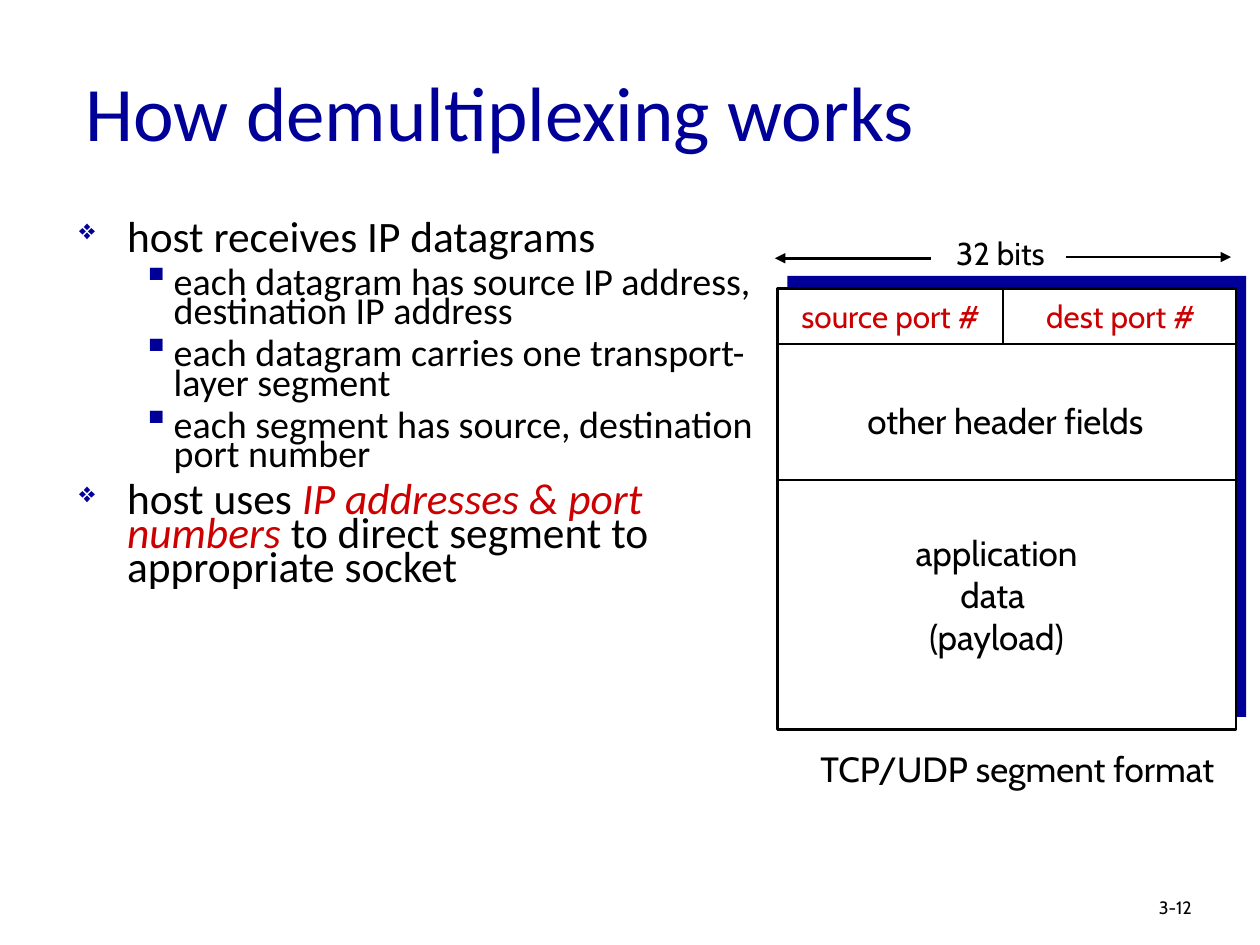
"""Build the slide that explains how demultiplexing works."""
from dataclasses import dataclass
from typing import Any

import lxml.etree
import pptx
import pptx.dml.color
import pptx.enum.shapes
import pptx.enum.text
import pptx.oxml.ns
import pptx.util

Inches = pptx.util.Inches
Pt = pptx.util.Pt
RGBColor = pptx.dml.color.RGBColor
Align = pptx.enum.text.PP_ALIGN
Anchor = pptx.enum.text.MSO_ANCHOR
qn = pptx.oxml.ns.qn

NAVY = RGBColor(0x00, 0x00, 0x99)
RED = RGBColor(0xCC, 0x00, 0x00)
BLACK = RGBColor(0x00, 0x00, 0x00)
WHITE = RGBColor(0xFF, 0xFF, 0xFF)

SEGMENT_LEFT, SEGMENT_TOP = 6.17, 2.29
SEGMENT_WIDTH, SEGMENT_HEIGHT = 3.64, 3.5
SEGMENT_RIGHT = SEGMENT_LEFT + SEGMENT_WIDTH
PORTS_BOTTOM, HEADER_BOTTOM, PORT_DIVIDER = 2.73, 3.81, 7.96


@dataclass(frozen=True)
class Label:
    lines: tuple[str, ...]
    left: float
    top: float
    width: float
    height: float
    size: float = 20
    color: RGBColor = BLACK
    font: str = "Cabin"
    align: Align = Align.CENTER
    anchor: Anchor = Anchor.TOP
    wrap: bool = False


@dataclass(frozen=True)
class Line:
    start: tuple[float, float]
    end: tuple[float, float]
    arrow: bool = False


@dataclass(frozen=True)
class BulletStyle:
    level: int
    character: str
    scale: int
    margin: float
    indent: float
    size: float
    space_before: float


@dataclass(frozen=True)
class Bullet:
    style: BulletStyle
    runs: tuple[tuple[str, bool], ...]


MAIN = BulletStyle(0, "❖", 65, 0.38, -0.38, 24.8, 8)
DETAIL = BulletStyle(1, "▪", 100, 0.75, -0.25, 21.7, 7)

BULLETS = (
    Bullet(MAIN, (("host receives IP datagrams", False),)),
    Bullet(DETAIL, (("each datagram has source IP address, destination IP address", False),)),
    Bullet(DETAIL, (("each datagram carries one transport-layer segment", False),)),
    Bullet(DETAIL, (("each segment has source, destination port number", False),)),
    Bullet(MAIN, (
        ("host uses ", False),
        ("IP addresses & port numbers", True),
        (" to direct segment to appropriate socket", False),
    )),
)

LABELS = (
    Label(("How demultiplexing works",), 0.58, 0.25, 8.5, 1.25, 44, NAVY, "Calibri",
          Align.LEFT, Anchor.MIDDLE, True),
    Label(("3-12",), 9.1, 7.07, 0.74, 0.3, 10.2, align=Align.LEFT, wrap=True),
    Label(("source port #",), 6.18, 2.31, 1.78, 0.4, 18, RED),
    Label(("dest port #",), 8.15, 2.31, 1.49, 0.4, 18, RED),
    Label(("32 bits",), 7.45, 1.81, 0.98, 0.4, 18),
    Label(("application", "data ", "(payload)"), 7.09, 4.17, 1.64, 1.1),
    Label(("other header fields",), 6.64, 3.12, 2.68, 0.44),
    Label(("TCP/UDP segment format",), 6.29, 5.88, 3.57, 0.44),
)

LINES = (
    Line((SEGMENT_LEFT, PORTS_BOTTOM), (SEGMENT_RIGHT, PORTS_BOTTOM)),
    Line((SEGMENT_LEFT, HEADER_BOTTOM), (SEGMENT_RIGHT, HEADER_BOTTOM)),
    Line((PORT_DIVIDER, PORTS_BOTTOM), (PORT_DIVIDER, SEGMENT_TOP)),
    Line((8.46, 2.04), (9.77, 2.04), True),
    Line((7.39, 2.05), (6.15, 2.05), True),
)


def apply_format(target: Any, values: dict[str, Any]) -> None:
    for name, value in values.items():
        setattr(target, name, value)


def add_run(paragraph: Any, text: str, color: RGBColor, values: dict[str, Any]) -> None:
    run = paragraph.add_run()
    run.text = text
    apply_format(run.font, values)
    run.font.color.rgb = color


def add_label(slide: Any, label: Label) -> None:
    shape = slide.shapes.add_textbox(
        Inches(label.left), Inches(label.top), Inches(label.width), Inches(label.height))
    frame = shape.text_frame
    apply_format(frame, {"word_wrap": label.wrap, "vertical_anchor": label.anchor})
    for index, text in enumerate(label.lines):
        paragraph = frame.add_paragraph() if index else frame.paragraphs[0]
        paragraph.alignment = label.align
        add_run(paragraph, text, label.color, {"name": label.font, "size": Pt(label.size)})


def add_bullet_mark(paragraph: Any, style: BulletStyle) -> None:
    properties = paragraph._p.get_or_add_pPr()
    properties.set("marL", str(Inches(style.margin)))
    properties.set("indent", str(Inches(style.indent)))
    color = lxml.etree.SubElement(properties, qn("a:buClr"))
    lxml.etree.SubElement(color, qn("a:srgbClr"), val=str(NAVY))
    lxml.etree.SubElement(properties, qn("a:buSzPct"), val=str(style.scale * 1000))
    lxml.etree.SubElement(properties, qn("a:buChar"), char=style.character)


def add_bullets(slide: Any, bullets: tuple[Bullet, ...]) -> None:
    shape = slide.shapes.add_textbox(Inches(0.53), Inches(1.74), Inches(5.55), Inches(3.05))
    frame = shape.text_frame
    frame.word_wrap = True
    for index, bullet in enumerate(bullets):
        style = bullet.style
        paragraph = frame.add_paragraph() if index else frame.paragraphs[0]
        add_bullet_mark(paragraph, style)
        apply_format(paragraph, {
            "level": style.level,
            "line_spacing": 0.65,
            "space_before": Pt(style.space_before if index else 0),
        })
        for text, emphasis in bullet.runs:
            add_run(paragraph, text, RED if emphasis else BLACK,
                    {"name": "Calibri", "size": Pt(style.size), "italic": emphasis})


def add_segment_box(slide: Any, left: float, top: float, fill: RGBColor, outlined: bool) -> None:
    shape = slide.shapes.add_shape(
        pptx.enum.shapes.MSO_SHAPE.RECTANGLE,
        Inches(left), Inches(top), Inches(SEGMENT_WIDTH), Inches(SEGMENT_HEIGHT))
    shape.shadow.inherit = False
    shape.fill.solid()
    shape.fill.fore_color.rgb = fill
    if outlined:
        shape.line.color.rgb = BLACK
        shape.line.width = Pt(1.5)
    else:
        shape.line.fill.background()


def add_line(slide: Any, line: Line) -> None:
    connector = slide.shapes.add_connector(
        pptx.enum.shapes.MSO_CONNECTOR.STRAIGHT,
        *(Inches(value) for value in line.start + line.end))
    connector.line.color.rgb = BLACK
    connector.line.width = Pt(1.5)
    if line.arrow:
        lxml.etree.SubElement(connector.line._get_or_add_ln(), qn("a:tailEnd"), type="triangle")
    lxml.etree.SubElement(connector._element.spPr, qn("a:effectLst"))


def main() -> None:
    presentation = pptx.Presentation()
    apply_format(presentation, {"slide_width": Inches(10), "slide_height": Inches(7.5)})
    slide = presentation.slides.add_slide(presentation.slide_layouts[6])
    add_bullets(slide, BULLETS)
    add_segment_box(slide, SEGMENT_LEFT + 0.08, SEGMENT_TOP - 0.1, NAVY, False)
    add_segment_box(slide, SEGMENT_LEFT, SEGMENT_TOP, WHITE, True)
    for line in LINES:
        add_line(slide, line)
    for label in LABELS:
        add_label(slide, label)
    presentation.save("out.pptx")


if __name__ == "__main__":
    main()
